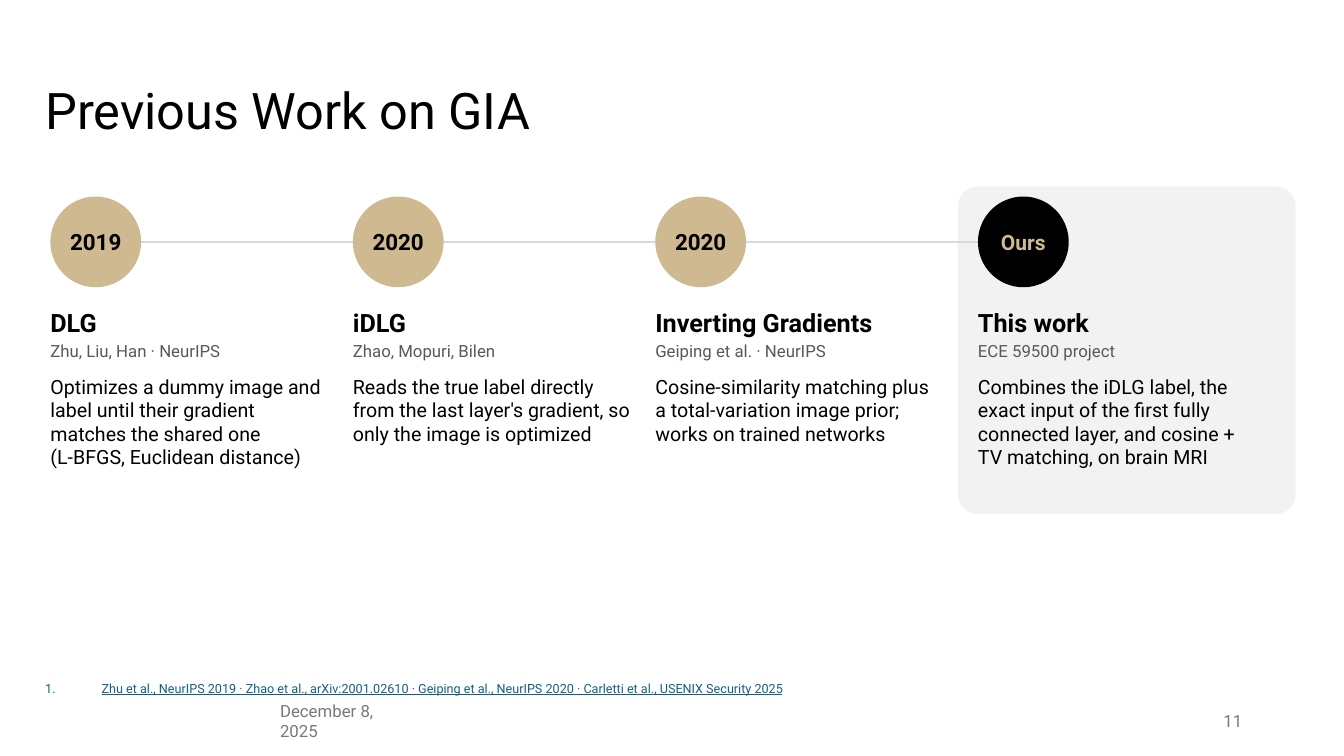
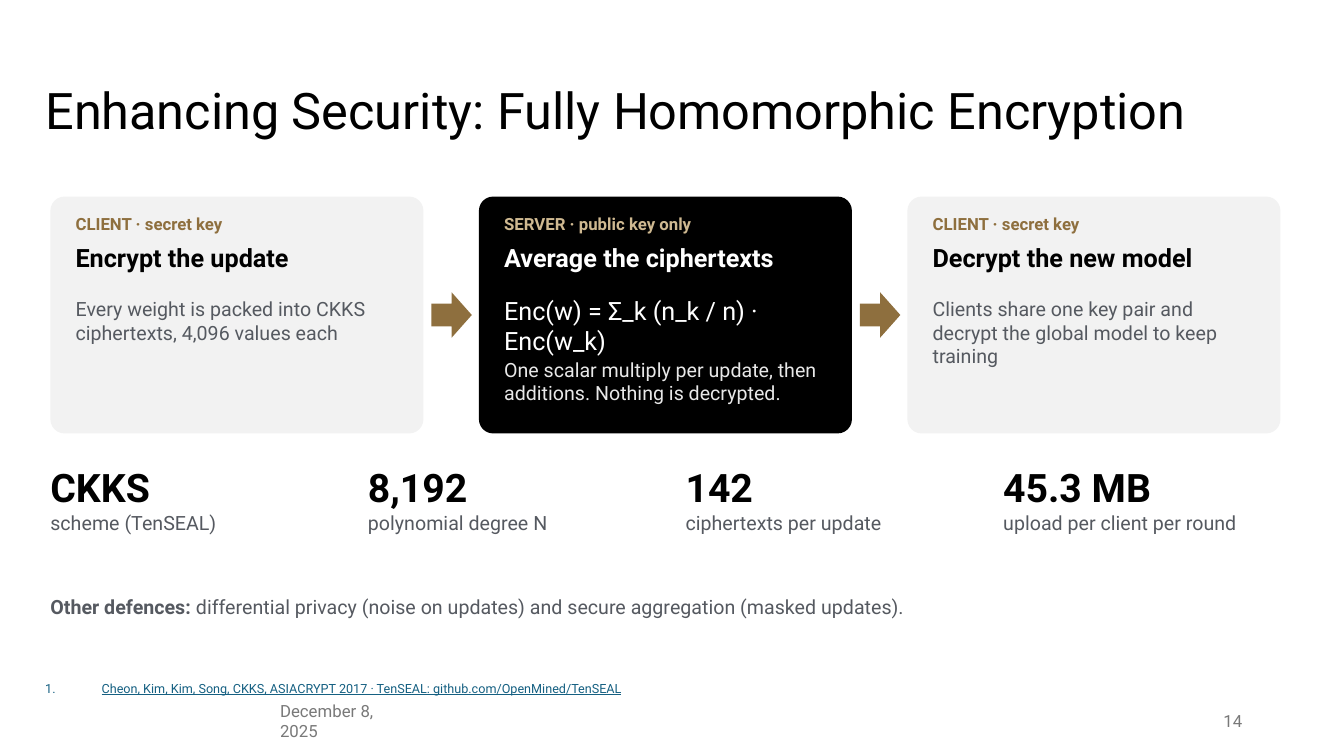
"""Build two slides on gradient inversion attacks and encrypted aggregation."""
from lxml import etree
from pptx import Presentation
from pptx.dml.color import RGBColor
from pptx.enum.shapes import MSO_CONNECTOR, MSO_SHAPE as SHAPE
from pptx.enum.text import MSO_ANCHOR as ANCHOR, MSO_AUTO_SIZE, PP_ALIGN as ALIGN
from pptx.oxml.ns import qn
from pptx.util import Emu, Pt

FONT = "Roboto"
BLACK, WHITE, PANEL, RULE = "000000", "FFFFFF", "F2F2F2", "D9D9D9"
GOLD, BRONZE = "CFB991", "8E6F3E"
GRAY, PALE, FOOTER, LINK = "555960", "E8E8E8", "797979", "156082"
LEFT, TOP = 50, 195
CIRCLE = 90
CARD_W, CARD_H, CARD_STEP = 370, 235, 425

TIMELINE = [
    (50, "2019", "DLG", "Zhu, Liu, Han · NeurIPS",
     "Optimizes a dummy image and label until their gradient matches "
     "the shared one (L‑BFGS, Euclidean distance)"),
    (350, "2020", "iDLG", "Zhao, Mopuri, Bilen",
     "Reads the true label directly from the last layer's gradient, "
     "so only the image is optimized"),
    (650, "2020", "Inverting Gradients", "Geiping et al. · NeurIPS",
     "Cosine-similarity matching plus a total-variation image prior; "
     "works on trained networks"),
    (970, "Ours", "This work", "ECE 59500 project",
     "Combines the iDLG label, the exact input of the first fully "
     "connected layer, and cosine + TV matching, on brain MRI"),
]
CARDS = [
    ("CLIENT · secret key", "Encrypt the update", None,
     "Every weight is packed into CKKS ciphertexts, 4,096 values each"),
    ("SERVER · public key only", "Average the ciphertexts",
     "Enc(w) = Σ_k (n_k / n) · Enc(w_k)",
     "One scalar multiply per update, then additions. Nothing is decrypted."),
    ("CLIENT · secret key", "Decrypt the new model", None,
     "Clients share one key pair and decrypt the global model to keep training"),
]
STATS = [
    ("CKKS", "scheme (TenSEAL)"),
    ("8,192", "polynomial degree N"),
    ("142", "ciphertexts per update"),
    ("45.3 MB", "upload per client per round"),
]


def px(n):
    """Turn px, 100 to the inch, into EMU."""
    return Emu(n * 9144)


def rgb(value):
    """Turn a hex string into a colour."""
    return RGBColor.from_string(value)


def write(tf, text, size=14, color=BLACK, bold=False, underline=False,
          align=ALIGN.LEFT, after=0, spacing=None, join=False):
    """Write text as a new paragraph, or join it to the last one."""
    p = tf.paragraphs[-1]
    if p.runs and not join:
        p = tf.add_paragraph()
    p.alignment, p.space_after = align, Pt(after)
    if spacing:
        p.line_spacing = spacing
    r = p.add_run()
    r.text = text
    r.font.name, r.font.size = FONT, Pt(size)
    r.font.bold, r.font.underline = bold, underline
    r.font.color.rgb = rgb(color)
    return p


def set_frame(tf, anchor=ANCHOR.TOP, inset=0):
    """Set wrapping, anchor and, unless None, equal margins."""
    tf.word_wrap, tf.auto_size = True, MSO_AUTO_SIZE.NONE
    tf.vertical_anchor = anchor
    if inset is not None:
        tf.margin_left = tf.margin_right = px(inset)
        tf.margin_top = tf.margin_bottom = px(inset)
    return tf


def add_text(s, x, y, w, h, anchor=ANCHOR.TOP, inset=0):
    """Add a text box and return its text frame."""
    sp = s.shapes.add_textbox(px(x), px(y), px(w), px(h))
    return set_frame(sp.text_frame, anchor, inset)


def add_block(s, kind, x, y, w, h, fill):
    """Add a filled shape with neither outline nor shadow."""
    sp = s.shapes.add_shape(kind, px(x), px(y), px(w), px(h))
    sp.shadow.inherit = False
    sp.fill.solid()
    sp.fill.fore_color.rgb = rgb(fill)
    sp.line.fill.background()
    if kind == SHAPE.ROUNDED_RECTANGLE:
        sp.adjustments[0] = 0.06
    return sp


def add_rule(s, x1, x2, y):
    """Add a thin horizontal line."""
    line = s.shapes.add_connector(MSO_CONNECTOR.STRAIGHT, px(x1), px(y), px(x2), px(y))
    line.line.color.rgb, line.line.width = rgb(RULE), Pt(1.5)
    etree.SubElement(line._element.spPr, qn("a:effectLst"))


def add_reference(s, text):
    """Add the numbered source above the footer."""
    tf = add_text(s, 35, 666, 1266, 29, ANCHOR.BOTTOM, None)
    pPr = tf.paragraphs[0]._p.get_or_add_pPr()
    pPr.set("marL", str(px(56)))
    pPr.set("indent", str(px(-56)))
    etree.SubElement(pPr, qn("a:buFont"), typeface=FONT)
    etree.SubElement(pPr, qn("a:buAutoNum"), type="arabicPeriod")
    write(tf, text, size=9, color=LINK, underline=True)


def new_slide(prs, title, number, reference):
    """Add a slide with title, footer and reference."""
    s = prs.slides.add_slide(prs.slide_layouts[5])
    sp = s.shapes.title
    sp.left, sp.top, sp.width, sp.height = px(35), px(40), px(1207), px(145)
    write(set_frame(sp.text_frame, ANCHOR.MIDDLE, None), title, size=36, spacing=0.9)
    write(add_text(s, 268, 695, 143, 40, ANCHOR.MIDDLE, None),
          "December 8, 2025", size=12, color=FOOTER)
    write(add_text(s, 1163, 695, 79, 40, ANCHOR.MIDDLE, None),
          number, size=12, color=FOOTER, align=ALIGN.RIGHT)
    add_reference(s, reference)
    return s


def add_milestone(s, x, label, name, authors, summary, ours):
    """Add a timeline circle with its description."""
    fill, color, size = (BLACK, GOLD, 15) if ours else (GOLD, BLACK, 16)
    circle = add_block(s, SHAPE.OVAL, x, TOP, CIRCLE, CIRCLE, fill)
    write(set_frame(circle.text_frame, ANCHOR.MIDDLE), label,
          size=size, color=color, bold=True, align=ALIGN.CENTER)
    tf = add_text(s, x, 305, 280, 330)
    write(tf, name, size=18, bold=True, after=2)
    write(tf, authors, size=12, color=GRAY, after=10)
    write(tf, summary, after=6)


def add_card(s, x, role, heading, formula, body):
    """Add a step card, dark when it holds a formula."""
    fill, accent, strong, soft = (
        (BLACK, GOLD, WHITE, PALE) if formula else (PANEL, BRONZE, BLACK, GRAY))
    add_block(s, SHAPE.ROUNDED_RECTANGLE, x, TOP, CARD_W, CARD_H, fill)
    inner = x + 25
    tf = add_text(s, inner, 212, 320, 80)
    write(tf, role, size=12, color=accent, bold=True, after=6)
    write(tf, heading, size=18, color=strong, bold=True)
    if formula:
        write(add_text(s, inner, 292, 320, 62, ANCHOR.MIDDLE),
              formula, size=18, color=strong, after=6)
    y, h = (355, 70) if formula else (295, 120)
    write(add_text(s, inner, y, 320, h), body, color=soft)


def add_stat(s, x, value, label):
    """Add a large figure with its label."""
    tf = add_text(s, x, 460, 290, 115)
    write(tf, value, size=28, bold=True)
    write(tf, label, color=GRAY)


def build_previous_work(prs):
    """Build the timeline slide."""
    s = new_slide(prs, "Previous Work on GIA", "11",
                  "Zhu et al., NeurIPS 2019 · Zhao et al., arXiv:2001.02610 · "
                  "Geiping et al., NeurIPS 2020 · Carletti et al., USENIX Security 2025")
    first, last = TIMELINE[0][0], TIMELINE[-1][0]
    add_block(s, SHAPE.ROUNDED_RECTANGLE, last - 20, 185, 335, 325, PANEL)
    radius = CIRCLE // 2
    add_rule(s, first + radius, last + radius, TOP + radius)
    for milestone in TIMELINE:
        add_milestone(s, *milestone, ours=milestone is TIMELINE[-1])


def build_encryption(prs):
    """Build the encryption slide."""
    s = new_slide(prs, "Enhancing Security: Fully Homomorphic Encryption", "14",
                  "Cheon, Kim, Kim, Song, CKKS, ASIACRYPT 2017 · "
                  "TenSEAL: github.com/OpenMined/TenSEAL")
    for i, card in enumerate(CARDS):
        x = LEFT + i * CARD_STEP
        if i:
            add_block(s, SHAPE.RIGHT_ARROW, x - 47, 290, 40, 45, BRONZE)
        add_card(s, x, *card)
    for i, stat in enumerate(STATS):
        add_stat(s, LEFT + i * 315, *stat)
    tf = add_text(s, LEFT, 590, 1235, 50)
    write(tf, "Other defences: ", color=GRAY, bold=True)
    write(tf, "differential privacy (noise on updates) and secure aggregation "
          "(masked updates).", color=GRAY, after=6, join=True)


def main():
    """Build and save the presentation."""
    prs = Presentation()
    prs.slide_width, prs.slide_height = px(1333), px(750)
    build_previous_work(prs)
    build_encryption(prs)
    prs.save("out.pptx")


if __name__ == "__main__":
    main()
